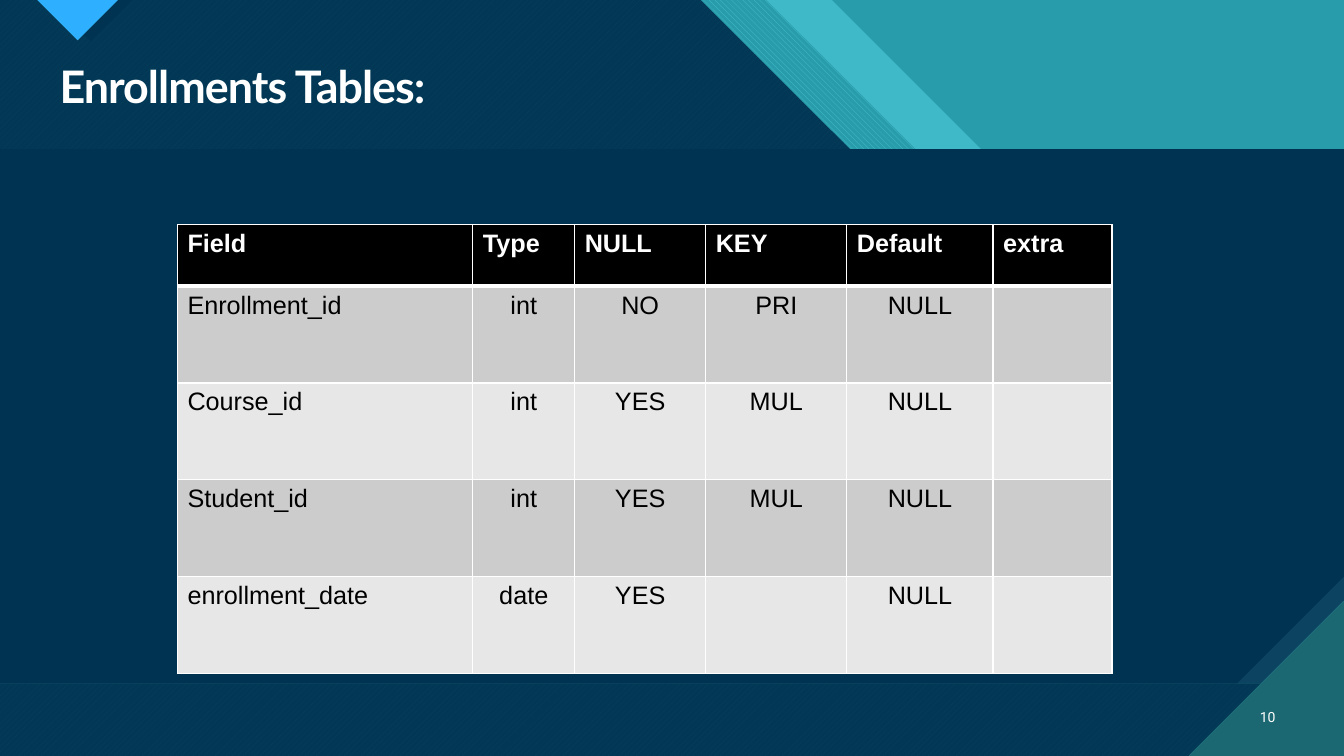
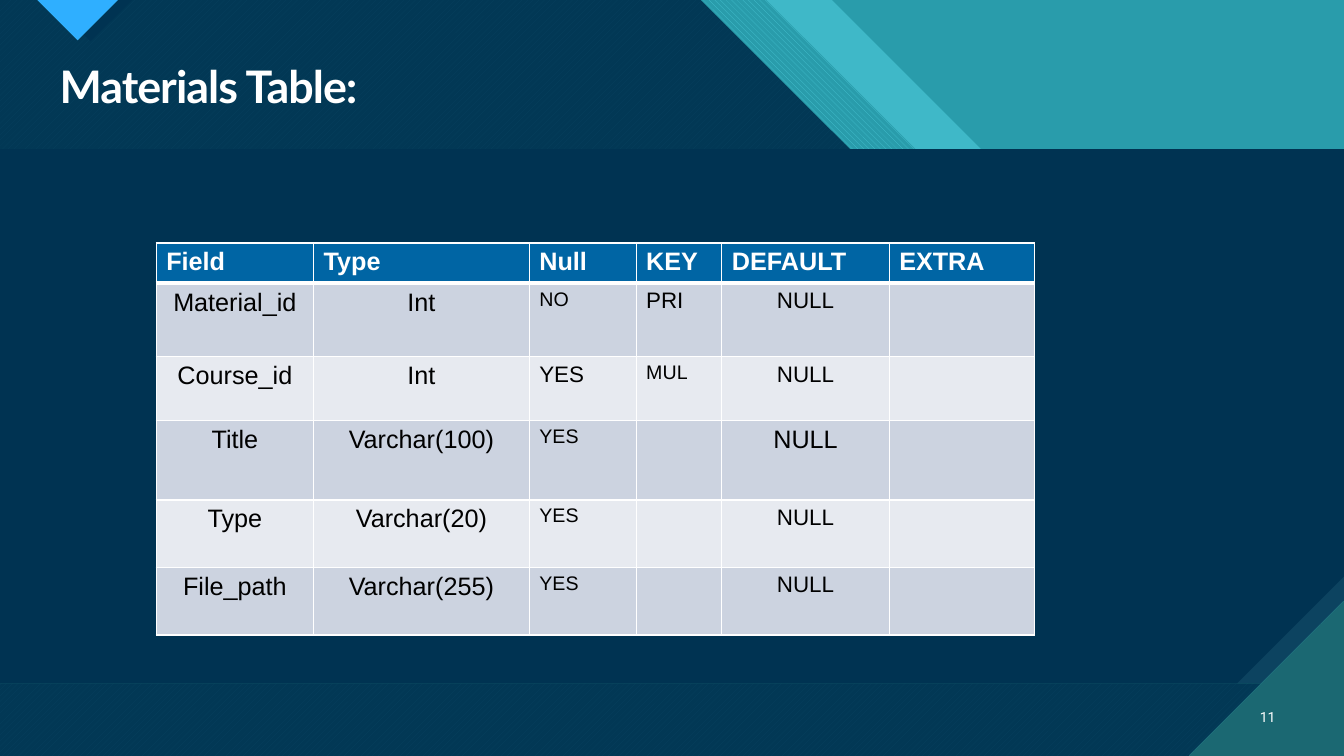
from lxml.etree import SubElement
from pptx import Presentation
from pptx.dml.color import RGBColor
from pptx.enum.dml import MSO_PATTERN
from pptx.enum.shapes import MSO_SHAPE, PP_PLACEHOLDER
from pptx.enum.text import MSO_ANCHOR, MSO_AUTO_SIZE, PP_ALIGN
from pptx.oxml import parse_xml
from pptx.oxml.ns import nsdecls, qn
from pptx.util import Inches, Pt

WIDTH, HEIGHT = 13.33, 7.5
BAND_TOP, BAND_HEIGHT = 1.48, 5.3

NAVY, DEEP_BLUE, BRIGHT_BLUE = "003352", "0C4360", "2FAFFF"
TEAL, LIGHT_TEAL, DARK_TEAL = "299CAB", "47C3D3", "1B6872"
WHITE, BLACK = "FFFFFF", "000000"

LEFT, CENTER, RIGHT = PP_ALIGN.LEFT, PP_ALIGN.CENTER, PP_ALIGN.RIGHT


def color(value):
    return RGBColor.from_string(value)


def slanted_panel(top_edge, foot_edge, foot_right):
    """Outline from the left edge whose right side steps down at 45 degrees."""
    step = 2.97
    return [(0, 0), (top_edge, 0), (top_edge + step, step), (foot_edge, step),
            (WIDTH, foot_right), (WIDTH, HEIGHT), (0, HEIGHT)]


class SchemaDeck:
    def __init__(self):
        self.deck = Presentation()
        self.deck.slide_width, self.deck.slide_height = Inches(WIDTH), Inches(HEIGHT)
        self.layout = self.deck.slide_layouts.get_by_name("Title Only")
        self.page = None

    def add_page(self, title, title_width, number):
        self.page = self.deck.slides.add_slide(self.layout)
        if len(self.deck.slides) == 1:
            self.decorate_layout()
        self.set_title(title, title_width)
        self.add_number(number)

    def decorate_layout(self):
        """Draw the shared backdrop on the page, then move it into the layout."""
        for holder in list(self.layout.placeholders):
            if holder.placeholder_format.type != PP_PLACEHOLDER.TITLE:
                holder.element.getparent().remove(holder.element)
        fill = self.layout.background.fill
        fill.solid()
        fill.fore_color.rgb = color(TEAL)

        navy_panel = slanted_panel(6.95, 11.18, 5.12)
        backdrop = [
            self.add_outline(slanted_panel(8.25, 12.34, 3.96), LIGHT_TEAL, opacity=74),
            self.add_outline(slanted_panel(7.6, 11.84, 4.47), LIGHT_TEAL, TEAL,
                             MSO_PATTERN.WIDE_DOWNWARD_DIAGONAL),
            self.add_outline(navy_panel, LIGHT_TEAL, DARK_TEAL,
                             MSO_PATTERN.WIDE_UPWARD_DIAGONAL),
            self.add_outline(navy_panel, NAVY, opacity=90),
            self.add_outline([(0.48, 0), (1.31, 0), (0.9, 0.41)], NAVY),
            self.add_outline([(0.37, 0), (1.17, 0), (0.77, 0.4)], BRIGHT_BLUE,
                             DARK_TEAL, MSO_PATTERN.DARK_HORIZONTAL),
            self.add_band(MSO_SHAPE.RECTANGLE, DEEP_BLUE, DARK_TEAL,
                          MSO_PATTERN.DARK_VERTICAL),
            self.add_band(MSO_SHAPE.SNIP_1_RECTANGLE, NAVY),
            self.add_outline([(11.79, HEIGHT), (WIDTH, HEIGHT), (WIDTH, 5.96)],
                             DARK_TEAL, LIGHT_TEAL, MSO_PATTERN.DARK_HORIZONTAL),
        ]
        tree = self.layout.shapes.element
        for index, shape in enumerate(backdrop, start=2):
            tree.insert(index, shape.element)

    def add_outline(self, points, *paint, opacity=None):
        corners = [(Inches(x), Inches(y)) for x, y in points]
        builder = self.page.shapes.build_freeform(*corners[0], scale=1.0)
        builder.add_line_segments(corners[1:], close=True)
        return self.paint(builder.convert_to_shape(), *paint, opacity=opacity)

    def add_band(self, preset, *paint):
        band = self.page.shapes.add_shape(
            preset, 0, Inches(BAND_TOP), Inches(WIDTH), Inches(BAND_HEIGHT))
        if preset == MSO_SHAPE.SNIP_1_RECTANGLE:
            band.adjustments[0] = 0.2
            band.element.spPr.find(qn("a:xfrm")).set("flipV", "1")
        return self.paint(band, *paint)

    def paint(self, shape, front, back=None, pattern=None, opacity=None):
        shape.shadow.inherit = False
        shape.line.fill.background()
        if pattern is None:
            shape.fill.solid()
        else:
            shape.fill.patterned()
            shape.fill.pattern = pattern
            shape.fill.back_color.rgb = color(back)
        shape.fill.fore_color.rgb = color(front)
        if opacity is not None:
            tint = shape.element.spPr.find(qn("a:solidFill")).find(qn("a:srgbClr"))
            SubElement(tint, qn("a:alpha")).set("val", str(opacity * 1000))
        return shape

    def style(self, frame, font, size, ink, align=LEFT, bold=False):
        for para in frame.paragraphs:
            para.alignment = align
            for span in para.runs:
                span.font.name, span.font.size = font, Pt(size)
                span.font.bold, span.font.color.rgb = bold, color(ink)

    def set_title(self, text, width):
        box = self.page.shapes.title
        box.left, box.top = Inches(0.49), Inches(0.59)
        box.width, box.height = Inches(width), Inches(0.59)
        frame = box.text_frame
        frame.text = text
        frame.word_wrap = False
        frame.auto_size = MSO_AUTO_SIZE.SHAPE_TO_FIT_TEXT
        frame.vertical_anchor = MSO_ANCHOR.TOP
        self.style(frame, "Lato", 32, WHITE, bold=True)
        para = frame.paragraphs[0]
        para.line_spacing = 0.9
        para.runs[0].font._element.set("spc", "-70")

    def add_number(self, number):
        box = self.page.shapes.add_textbox(
            Inches(12.31), Inches(6.91), Inches(0.44), Inches(0.4))
        frame = box.text_frame
        frame.text = str(number)
        frame.word_wrap = True
        frame.vertical_anchor = MSO_ANCHOR.MIDDLE
        self.style(frame, "Roboto", 10, WHITE, RIGHT)

    def add_table(self, left, top, widths, heights, rows, fills, aligns, sizes,
                  exceptions=None):
        """fills: header, odd rows, even rows; exceptions: (row, column) to size."""
        exceptions = exceptions or {}
        header_fill, *stripes = fills
        table = self.page.shapes.add_table(
            len(rows), len(widths), Inches(left), Inches(top),
            Inches(sum(widths)), Inches(sum(heights))).table
        table.horz_banding = False
        for column, width in zip(table.columns, widths):
            column.width = Inches(width)
        for r, (values, height) in enumerate(zip(rows, heights)):
            table.rows[r].height = Inches(height)
            for c, value in enumerate(values):
                cell = table.cell(r, c)
                cell.text_frame.text = value
                cell.fill.solid()
                if r == 0:
                    cell.fill.fore_color.rgb = color(header_fill)
                    self.style(cell.text_frame, "Arial", 18, WHITE, bold=True)
                else:
                    cell.fill.fore_color.rgb = color(stripes[(r - 1) % 2])
                    size = exceptions.get((r, c), sizes[c])
                    self.style(cell.text_frame, "Arial", size, BLACK, aligns[c])
                self.border(cell, top=3 if r == 1 else 1, bottom=3 if r == 0 else 1)

    def border(self, cell, top, bottom):
        properties = cell._tc.get_or_add_tcPr()
        edges = [("lnL", 1), ("lnR", 1), ("lnT", top), ("lnB", bottom)]
        for index, (edge, points) in enumerate(edges):
            properties.insert(index, parse_xml(
                f'<a:{edge} {nsdecls("a")} w="{Pt(points)}"><a:solidFill>'
                f'<a:srgbClr val="{WHITE}"/></a:solidFill></a:{edge}>'))

    def save(self):
        self.deck.save("out.pptx")


def main():
    schema = SchemaDeck()

    schema.add_page("Enrollments Tables:", 4.31, 10)
    schema.add_table(
        1.76, 2.23,
        widths=[2.93, 1.01, 1.3, 1.4, 1.45, 1.18],
        heights=[0.61] + [0.96] * 4,
        rows=[
            ["Field", "Type", "NULL", "KEY", "Default", "extra"],
            ["Enrollment_id", "int", "NO", "PRI", "NULL", ""],
            ["Course_id", "int", "YES", "MUL", "NULL", ""],
            ["Student_id", "int", "YES", "MUL", "NULL", ""],
            ["enrollment_date", "date", "YES", "", "NULL", ""],
        ],
        fills=[BLACK, "CCCCCC", "E7E7E7"],
        aligns=[LEFT] + [CENTER] * 5,
        sizes=[18] * 6)

    schema.add_page("Materials Table:", 3.43, 11)
    schema.add_table(
        1.55, 2.41,
        widths=[1.56, 2.14, 1.06, 0.85, 1.66, 1.44],
        heights=[0.4, 0.73, 0.63, 0.79, 0.67, 0.67],
        rows=[
            ["Field", "Type", "Null", "KEY", "DEFAULT", "EXTRA"],
            ["Material_id", "Int", "NO", "PRI", "NULL", ""],
            ["Course_id", "Int", "YES", "MUL", "NULL", ""],
            ["Title", "Varchar(100)", "YES", "", "NULL", ""],
            ["Type", "Varchar(20)", "YES", "", "NULL", ""],
            ["File_path", "Varchar(255)", "YES", "", "NULL", ""],
        ],
        fills=["0065A4", "CCD3E0", "E7EAF0"],
        aligns=[CENTER, CENTER, LEFT, LEFT, CENTER, LEFT],
        sizes=[18, 18, 14, 14, 16, 18],
        exceptions={(1, 3): 16, (2, 2): 16, (3, 4): 18})

    schema.save()


if __name__ == "__main__":
    main()
